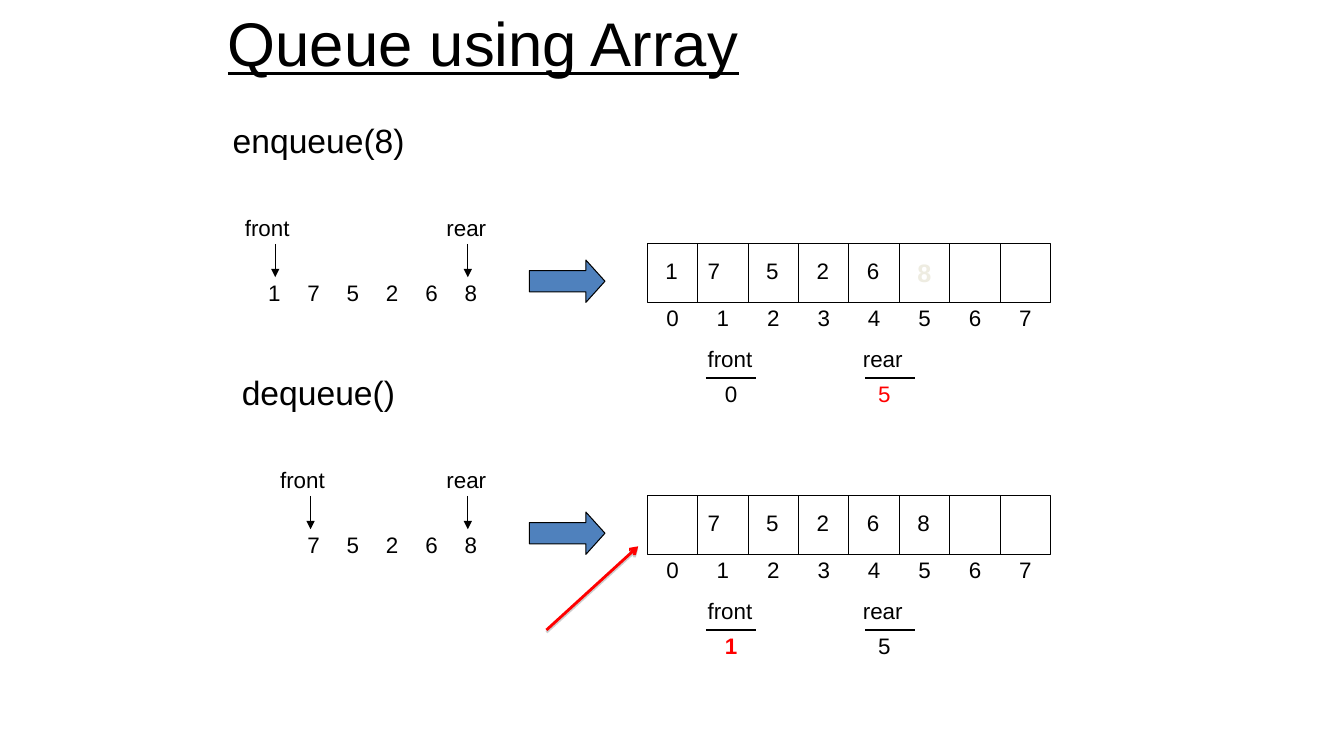
from dataclasses import dataclass
from pptx import Presentation
from pptx.dml.color import RGBColor as Rgb
from pptx.enum.shapes import MSO_CONNECTOR as Link, MSO_SHAPE as Shape
from pptx.enum.text import MSO_ANCHOR as Anchor, MSO_AUTO_SIZE as Fit, PP_ALIGN as Align
from pptx.oxml import parse_xml
from pptx.oxml.ns import nsdecls
from pptx.util import Inches, Pt


@dataclass(frozen=True)
class Theme:
    font: str = "Arial"
    ink: str = "000000"
    paper: str = "FFFFFF"
    blue: str = "4F81BD"
    red: str = "FF0000"
    pale: str = "EEECE1"
    shade: str = "808080"
    title: int = 44
    head: int = 24
    body: int = 16
    large: int = 18
    thin: float = 0.75
    thick: float = 2


T = Theme()
TITLE = "Queue using Array"
SLOTS = 8
MARK = {"color": T.pale, "bold": True, "size": T.large}

# Items and cells map a column number to its digit; a style may follow a value.
SCENES = [
    {"call": "enqueue(8)", "call_at": (2.21, 1.91), "items": "175268", "first": 0,
     "cells": [("1", {}), ("7", {}), ("5", {}), ("2", {}), ("6", {}), ("8", MARK)],
     "front": ("0", {}), "rear": ("5", {"color": T.red})},
    {"call": "dequeue()", "call_at": (2.3, 1.72), "items": "75268", "first": 1,
     "cells": [("", {}), ("7", {}), ("5", {}), ("2", {}), ("6", {}), ("8", {})],
     "front": ("1", {"color": T.red, "bold": True}), "rear": ("5", {})},
]

# Grid: the scenes stack at an equal pitch; rows are measured from a scene's top.
TOP, PITCH = 1.14, 2.5
LABEL, ARRAY, CELL, BLOCK, ITEM, INDEX, NAME, RULE, VALUE = (
    0.94, 1.28, 1.36, 1.44, 1.58, 1.83, 2.24, 2.61, 2.58)
QUEUE, STEP = 2.56, 0.39
LEFT, COL, HIGH = 6.42, 0.5, 0.58
DIGIT, LINE = 0.32, 0.37
# word: box width, pointer's distance from the label, name, rule and value columns
WORDS = {"front": (0.65, 0.4, 6.92, 7.0, 7.09), "rear": (0.6, 0.31, 8.46, 8.58, 8.61)}
POINTS = {"front": (2.73, 3.08), "rear": (4.64, 4.64)}

deck = Presentation()
deck.slide_width, deck.slide_height = Inches(13.33), Inches(7.5)
slide = deck.slides.add_slide(deck.slide_layouts[5])
shapes = slide.shapes


def write(frame, text, size=T.body, color=T.ink, bold=False, under=False):
    para = frame.paragraphs[0]
    para.alignment = Align.LEFT
    run = para.add_run()
    run.text = text
    font = run.font
    font.name, font.size, font.bold, font.underline = T.font, Pt(size), bold, under
    font.color.rgb = Rgb.from_string(color)


def label(text, x, y, wide=DIGIT, high=LINE, **style):
    frame = shapes.add_textbox(*map(Inches, (x, y, wide, high))).text_frame
    frame.word_wrap, frame.auto_size = False, Fit.SHAPE_TO_FIT_TEXT
    write(frame, text, **style)


def block(kind, x, y, wide, high, fill):
    form = shapes.add_shape(kind, *map(Inches, (x, y, wide, high)))
    form.shadow.inherit = False
    form.fill.solid()
    form.fill.fore_color.rgb = Rgb.from_string(fill)
    form.line.color.rgb = Rgb.from_string(T.ink)
    form.line.width = Pt(T.thin)
    return form


def line(x1, y1, x2, y2, color=T.ink, width=T.thin, tip=None, shadow=""):
    link = shapes.add_connector(Link.STRAIGHT, *map(Inches, (x1, y1, x2, y2)))
    link.line.color.rgb = Rgb.from_string(color)
    link.line.width = Pt(width)
    if tip:
        link.line._get_or_add_ln().append(
            parse_xml(f'<a:tailEnd {nsdecls("a")} type="{tip}"/>'))
    link._element.spPr.append(
        parse_xml(f'<a:effectLst {nsdecls("a")}>{shadow}</a:effectLst>'))
    return link


def array(top, cells):
    """Draw the row of slots with its values and index numbers."""
    y = top + ARRAY
    frame = block(Shape.RECTANGLE, LEFT, y, SLOTS * COL, HIGH, T.paper)
    for col in range(1, SLOTS):
        x = LEFT + col * COL
        wall = line(x, y, x, y + HIGH)
        if col == SLOTS // 2:
            wall.begin_connect(frame, 0)
            wall.end_connect(frame, 2)
    for col in range(SLOTS):
        label(str(col), LEFT + 0.09 + col * COL, top + INDEX)
    for col, (digit, style) in enumerate(cells):
        if digit:
            inset = 0 if col == 1 else 0.08
            label(digit, LEFT + inset + col * COL, top + CELL, **style)


title = shapes.title
title.left, title.top, title.width, title.height = map(Inches, (2.16, -0.08, 9, 1))
title.text_frame.vertical_anchor = Anchor.MIDDLE
write(title.text_frame, TITLE, T.title, under=True)

for n, scene in enumerate(SCENES):
    top = TOP + n * PITCH
    x, wide = scene["call_at"]
    label(scene["call"], x, top, wide, 0.5, size=T.head)
    for col, digit in enumerate(scene["items"], scene["first"]):
        label(digit, QUEUE + col * STEP, top + ITEM)
    arrow = block(Shape.RIGHT_ARROW, 5.25, top + BLOCK, 0.75, 0.42, T.blue)
    arrow.adjustments[0], arrow.adjustments[1] = 0.5, 0.45
    array(top, scene["cells"])
    for word, (wide, back, name, rule, value) in WORDS.items():
        x = POINTS[word][n]
        label(word, x - back, top + LABEL, wide)
        line(x, top + ARRAY, x, top + ARRAY + 0.33, tip="triangle")
        label(word, name, top + NAME, wide)
        line(rule, top + RULE, rule + COL, top + RULE)
        digit, style = scene[word]
        label(digit, value, top + VALUE, **style)

SHADE = (f'<a:outerShdw blurRad="0" dist="20320" dir="5400000" rotWithShape="0">'
         f'<a:srgbClr val="{T.shade}"><a:alpha val="38000"/></a:srgbClr></a:outerShdw>')
line(5.42, 6.25, 6.33, 5.42, T.red, T.thick, "arrow", SHADE)

deck.save("out.pptx")
